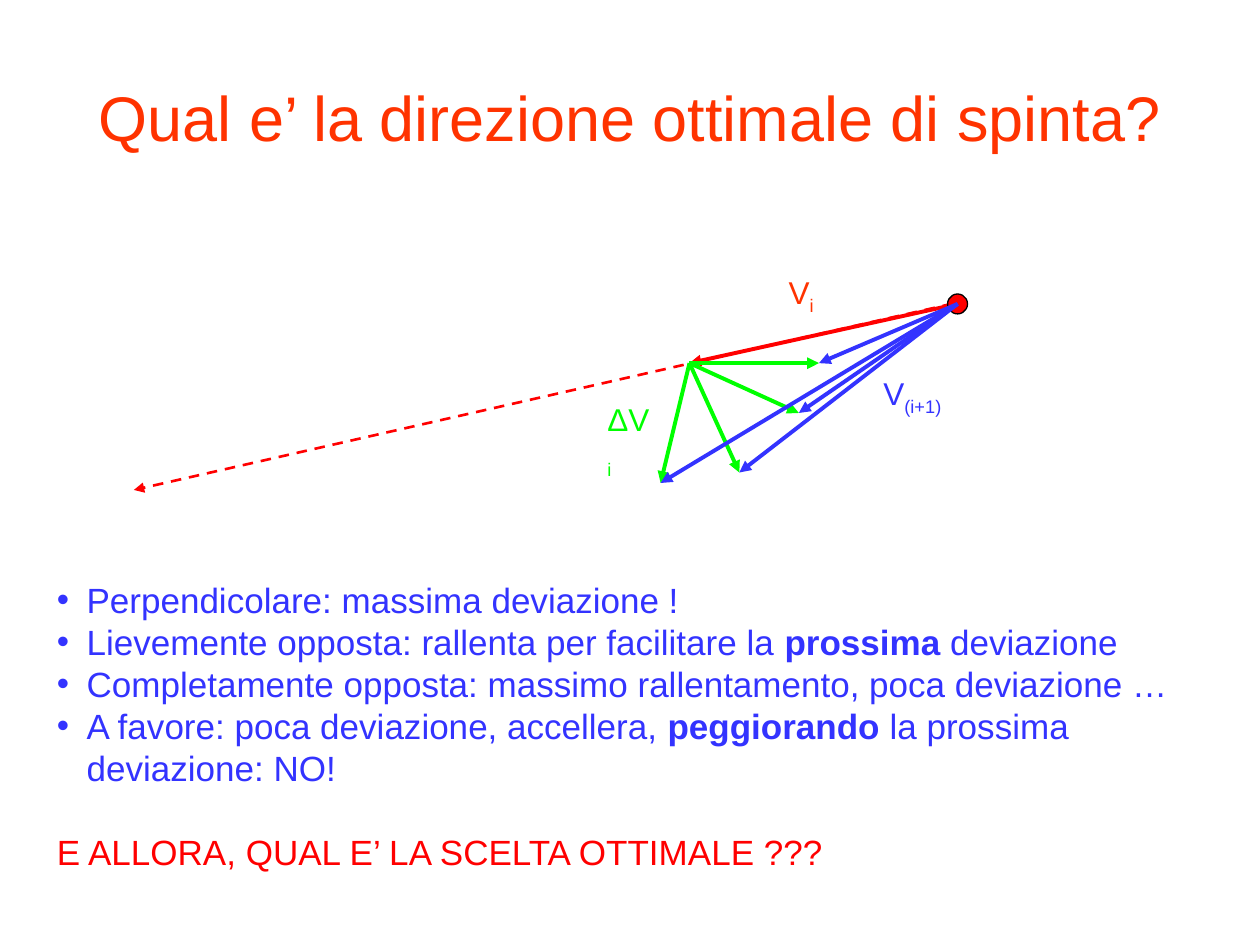
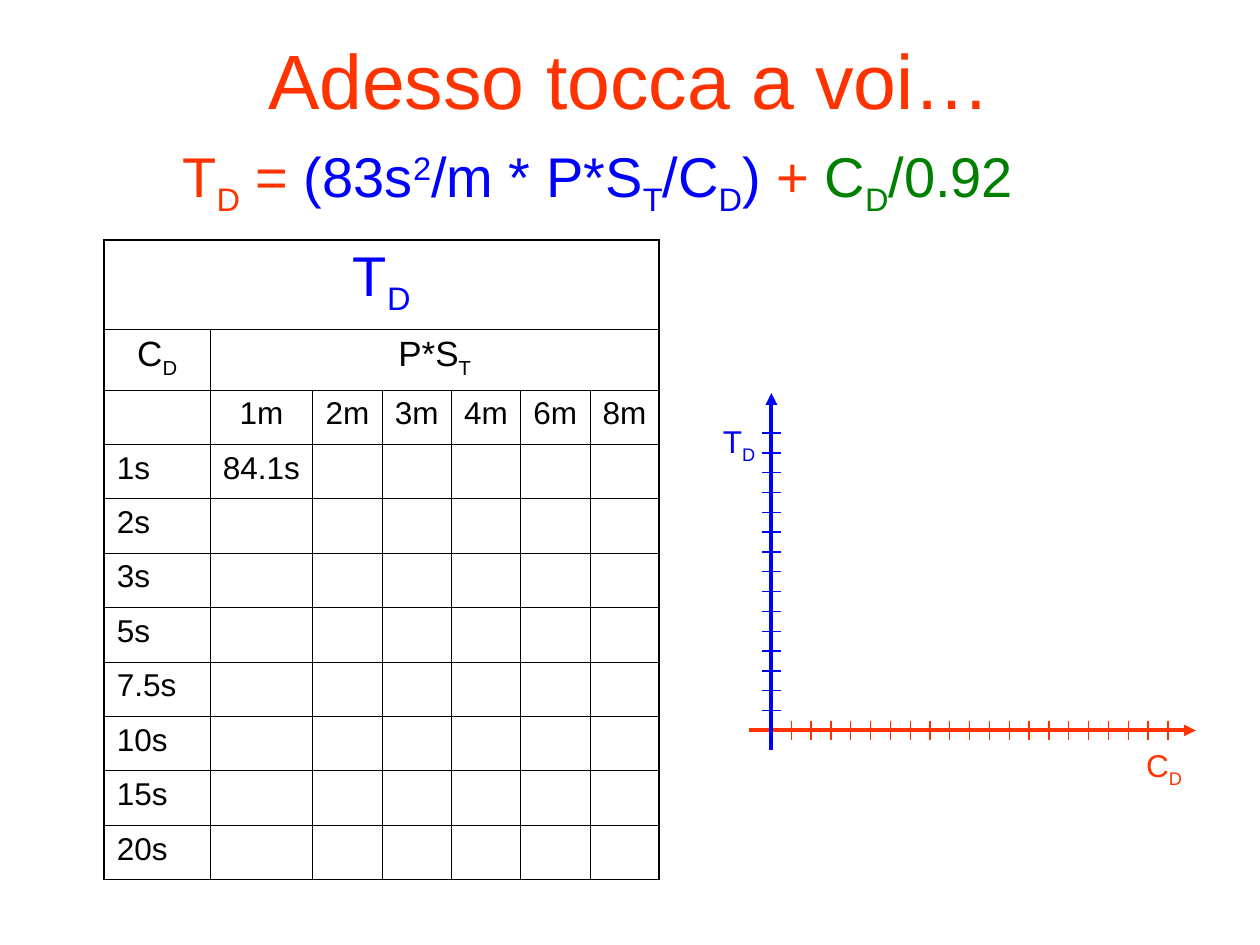
import dataclasses

import lxml.etree
import pptx
import pptx.dml.color
import pptx.enum.dml
import pptx.enum.shapes
import pptx.enum.text
import pptx.oxml.ns
import pptx.util

Pt = pptx.util.Pt
qn = pptx.oxml.ns.qn
CENTER = pptx.enum.text.PP_ALIGN.CENTER
DASH = pptx.enum.dml.MSO_LINE.DASH
SUB = {"base": -25}
SUP = {"base": 30}
BOLD = {"bold": True}


@dataclasses.dataclass(frozen=True)
class Theme:
    font: str = "Arial"
    orange: str = "FF3300"
    red: str = "FF0000"
    violet: str = "3333FF"
    blue: str = "0000FF"
    lime: str = "00FF00"
    green: str = "008000"
    black: str = "000000"
    label: float = 18
    body: float = 20
    big: float = 32
    thick: float = 2.25
    thin: float = 0.75
    grid: float = 0.45
    frame: float = 1.08


def paint(color):
    return pptx.dml.color.RGBColor.from_string(color)


def child(node, tag, **attrs):
    return lxml.etree.SubElement(node, qn(tag), **attrs)


def write(para, runs, font="Arial", size=18, color="000000", align=None,
          bullet=False, before=None):
    """Fill a paragraph with runs, each a string or a (string, format) pair."""
    if bullet:
        props = para._p.get_or_add_pPr()
        props.set("marL", str(Pt(17)))
        props.set("indent", str(-Pt(17)))
        child(child(props, "a:buClr"), "a:srgbClr", val=color)
        child(props, "a:buFont", typeface=font)
        child(props, "a:buChar", char="•")
    if align is not None:
        para.alignment = align
    if before is not None:
        para.space_before = Pt(before)
    for item in runs:
        text, form = (item, {}) if isinstance(item, str) else item
        run = para.add_run()
        run.text = text
        run.font.name = font
        run.font.size = Pt(size)
        run.font.bold = form.get("bold", False)
        run.font.color.rgb = paint(form.get("color", color))
        if "base" in form:
            run._r.get_or_add_rPr().set("baseline", str(form["base"] * 1000))


class Deck:
    def __init__(self, theme):
        self.theme = theme
        self.show = pptx.Presentation()
        self.show.slide_width, self.show.slide_height = Pt(720), Pt(540)
        self.shapes = None

    def page(self, title, top, size):
        slide = self.show.slides.add_slide(self.show.slide_layouts[5])
        self.shapes = slide.shapes
        head = slide.shapes.title
        head.left, head.top, head.width, head.height = map(Pt, (36, top, 648, 90))
        head.text_frame.auto_size = pptx.enum.text.MSO_AUTO_SIZE.NONE
        head.text_frame.vertical_anchor = pptx.enum.text.MSO_ANCHOR.MIDDLE
        write(head.text_frame.paragraphs[0], [title], self.theme.font, size,
              self.theme.orange, CENTER)

    def group(self):
        """Send the next elements to a new group and return the outer shapes."""
        outer = self.shapes
        self.shapes = outer.add_group_shape().shapes
        return outer

    def text(self, box, *paras, wrap=False, **base):
        """Each paragraph is a list of runs or a (runs, format) pair."""
        frame = self.shapes.add_textbox(*map(Pt, box)).text_frame
        frame.word_wrap = wrap
        frame.auto_size = pptx.enum.text.MSO_AUTO_SIZE.SHAPE_TO_FIT_TEXT
        for i, item in enumerate(paras):
            runs, form = item if isinstance(item, tuple) else (item, {})
            para = frame.add_paragraph() if i else frame.paragraphs[0]
            write(para, runs, **{"font": self.theme.font, **base, **form})

    def line(self, start, end, color, width, dash=None, arrow=False):
        link = self.shapes.add_connector(
            pptx.enum.shapes.MSO_CONNECTOR.STRAIGHT, *map(Pt, (*start, *end)))
        link.line.color.rgb = paint(color)
        link.line.width = Pt(width)
        if dash:
            link.line.dash_style = dash
        if arrow:
            child(link.get_or_add_ln(), "a:tailEnd", type="triangle")
        child(link._element.spPr, "a:effectLst")

    def arrow(self, start, end, color):
        self.line(start, end, color, self.theme.thick, arrow=True)

    def dot(self, mid, size, fill):
        x, y = mid
        dot = self.shapes.add_shape(
            pptx.enum.shapes.MSO_SHAPE.OVAL,
            *map(Pt, (x - size / 2, y - size / 2, size, size)))
        dot.shadow.inherit = False
        dot.fill.solid()
        dot.fill.fore_color.rgb = paint(fill)
        dot.line.color.rgb = paint(self.theme.black)
        dot.line.width = Pt(self.theme.thin)

    def table(self, spot, cols, rows, spans):
        """Add a ruled table; spans lists (row, first column, last column)."""
        grid = self.shapes.add_table(
            len(rows), len(cols), *map(Pt, (*spot, sum(cols), sum(rows)))).table
        grid.first_row = grid.horz_banding = False
        for col, width in zip(grid.columns, cols):
            col.width = Pt(width)
        for row, height in zip(grid.rows, rows):
            row.height = Pt(height)
        for row, first, last in spans:
            grid.cell(row, first).merge(grid.cell(row, last))
        for r in range(len(rows)):
            for c in range(len(cols)):
                cell = grid.cell(r, c)
                wide = cell.span_width if cell.is_merge_origin else 1
                self.rule(cell, L=c == 0, R=c + wide == len(cols),
                          T=r == 0, B=r == len(rows) - 1)
                cell.fill.background()
        return grid

    def rule(self, cell, **sides):
        """Draw each side of a cell, thicker where it is on the outer frame."""
        props = cell._tc.get_or_add_tcPr()
        for side, outer in sides.items():
            width = self.theme.frame if outer else self.theme.grid
            edge = child(props, f"a:ln{side}", w=str(Pt(width)))
            child(child(edge, "a:solidFill"), "a:srgbClr", val=self.theme.black)

    def cell(self, grid, row, col, runs, **form):
        write(grid.cell(row, col).text_frame.paragraphs[0], runs,
              **{"font": self.theme.font, "size": self.theme.label, **form})


def thrust(deck):
    look = deck.theme
    deck.page("Qual e’ la direzione ottimale di spinta?", 21.6, 36)
    ship, tip = (547.2, 173.7), (394, 207.5)
    deck.line((544.5, 173.5), (76.5, 280), look.red, 1.5, DASH, arrow=True)
    deck.arrow(ship, tip, look.red)
    deck.dot(ship, 11.4, look.red)
    for end in [(456.5, 236), (422.5, 270), (377.5, 276), (468, 207.5)]:
        deck.arrow(tip, end, look.lime)
        deck.arrow(ship, end, look.violet)

    labels = [((443.5, 152.5, 29, 31.5), "V", "i", look.orange, False),
              ((497.7, 210.3, 47.5, 31.5), "V", "(i+1)", look.violet, False),
              ((340, 224.8, 39.6, 31.5), "ΔV", "i", look.lime, True)]
    for box, name, index, color, wrap in labels:
        deck.text(box, [name, (index, SUB)], wrap=wrap, size=look.label, color=color)

    points = [["Perpendicolare: massima deviazione !"],
              ["Lievemente opposta: rallenta per facilitare la ",
               ("prossima ", BOLD), "deviazione"],
              ["Completamente opposta: massimo rallentamento, poca deviazione …"],
              ["A favore: poca deviazione, accellera, ", ("peggiorando", BOLD),
               " la prossima deviazione: NO!"]]
    asks = ["E ALLORA, QUAL E’ LA SCELTA OTTIMALE ???"]
    deck.text((25.4, 327, 680.4, 175.7),
              *[(runs, {"bullet": True}) for runs in points],
              (asks, {"color": look.red, "before": 24}),
              wrap=True, size=look.body, color=look.violet)


def delays(deck):
    look = deck.theme
    deck.page("Adesso tocca a voi…", 0, 44)
    grid = deck.table((59.6, 137), [60.5, 58.6] + [39.6] * 5,
                      [51, 34.8] + [31.1] * 9, [(0, 0, 6), (1, 1, 6)])
    deck.cell(grid, 0, 0, ["T", ("D", SUB)], size=look.big, color=look.blue,
              align=CENTER)
    deck.cell(grid, 1, 0, ["C", ("D", SUB)], size=look.body, align=CENTER)
    deck.cell(grid, 1, 1, ["P*S", ("T", SUB)], size=look.body, align=CENTER)
    for col, name in enumerate(["1m", "2m", "3m", "4m", "6m", "8m"], 1):
        deck.cell(grid, 2, col, [name], align=CENTER)
    times = ["1s", "2s", "3s", "5s", "7.5s", "10s", "15s", "20s"]
    for row, name in enumerate(times, 3):
        deck.cell(grid, row, 0, [name])
    deck.cell(grid, 3, 1, ["84.1s"], align=CENTER)
    plot(deck)

    blue, green = {"color": look.blue}, {"color": look.green}
    deck.text((97.2, 77.2, 488.9, 51),
              ["T", ("D", SUB), " = ", ("(83s", blue), ("2", SUP | blue),
               ("/m * P*S", blue), ("T", SUB | blue), ("/C", blue),
               ("D", SUB | blue), (")", blue), " + ", ("C", green),
               ("D", SUB | green), ("/0.92", green)],
              size=look.big, color=look.orange)


def plot(deck):
    """Draw the two empty axes with their ticks."""
    look = deck.theme
    x, y, step, half = 440.8, 417.4, 11.33, 5.6
    outer = deck.group()
    deck.text((647.8, 422.6, 37, 31.5), ["C", ("D", SUB)],
              size=look.label, color=look.orange)
    deck.arrow((427.8, y), (683.3, y), look.orange)
    deck.arrow((x, 428.4), (x, 224.6), look.blue)
    deck.text((406, 237.6, 35, 31.5), ["T", ("D", SUB)],
              size=look.label, color=look.blue)
    for i in range(1, 21):
        at = x + i * step
        deck.line((at, y - half), (at, y + half), look.orange, look.thin)
    for i in range(1, 16):
        at = y - i * step
        deck.line((x - half, at), (x + half, at), look.blue, look.thin)
    deck.shapes = outer


def main():
    deck = Deck(Theme())
    thrust(deck)
    delays(deck)
    deck.show.save("out.pptx")


if __name__ == "__main__":
    main()
